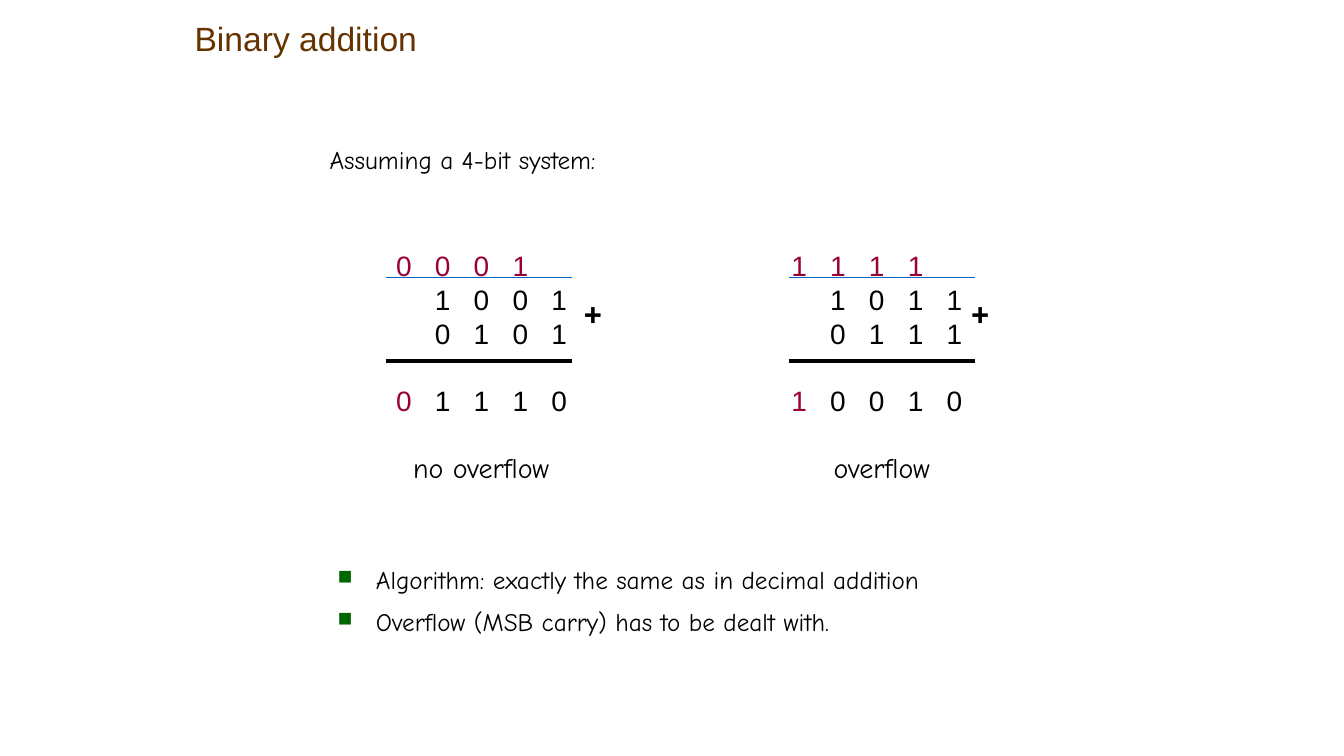
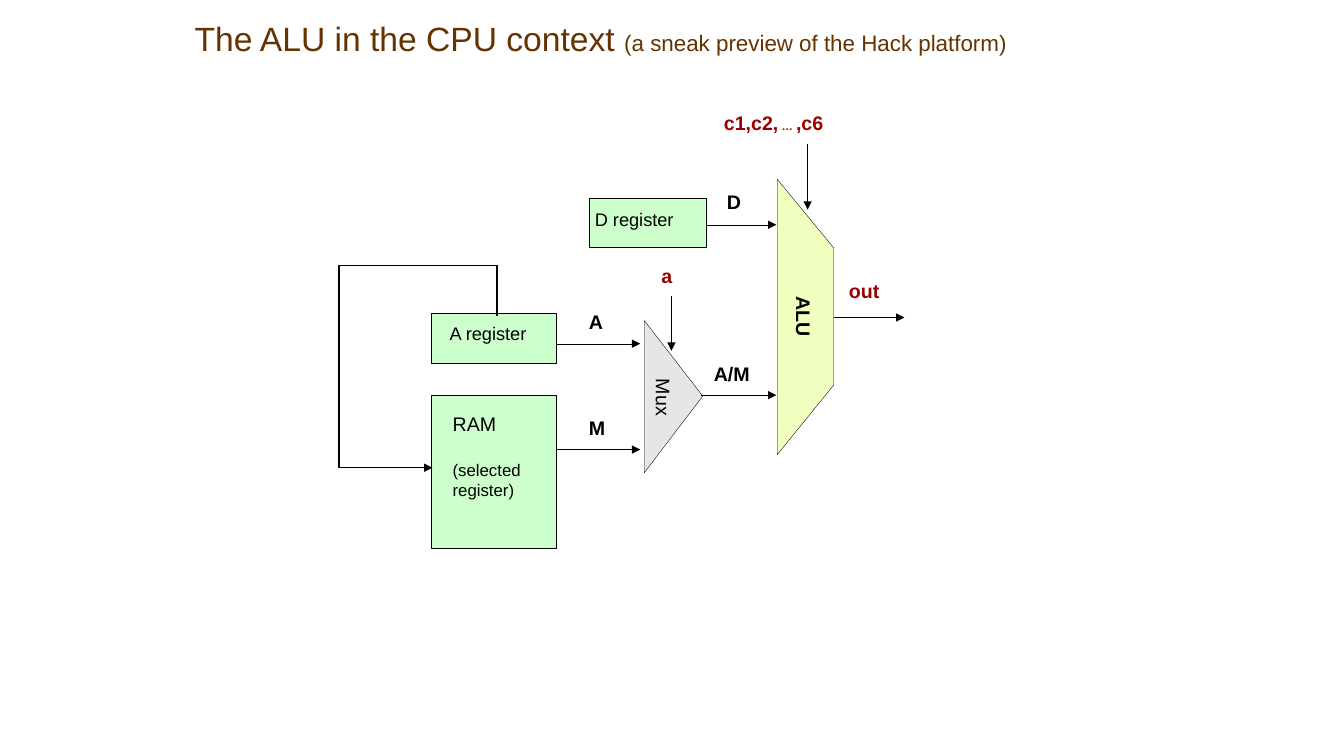
"""Build two slides: binary addition, and the ALU in its CPU context."""
from lxml import etree
from pptx import Presentation
from pptx.dml.color import RGBColor
from pptx.enum import shapes, text
from pptx.oxml import ns
from pptx.util import Inches, Pt

BLACK = RGBColor(0x00, 0x00, 0x00)
BROWN = RGBColor(0x66, 0x33, 0x00)
CRIMSON = RGBColor(0x99, 0x00, 0x33)
RED = RGBColor(0x99, 0x00, 0x00)
BLUE = RGBColor(0x05, 0x63, 0xC1)
BULLET = RGBColor(0x00, 0x66, 0x00)
GREEN = RGBColor(0xCC, 0xFF, 0xCC)
LIME = RGBColor(0xEE, 0xFF, 0xBF)
GREY = RGBColor(0xE6, 0xE6, 0xE6)
HAND = "Comic Neue"
HAIRLINE = 0.25


def add_text(s, x, y, w, h, lines, size, color=BLACK, font="Arial", bold=False):
    """Add a wrapping text box with one paragraph per line."""
    box = s.shapes.add_textbox(Inches(x), Inches(y), Inches(w), Inches(h))
    tf = box.text_frame
    tf.word_wrap = True
    tf.text = "\n".join(lines)
    for p in tf.paragraphs:
        p.font.size, p.font.bold, p.font.name = Pt(size), bold, font
        p.font.color.rgb = color
    return box


def add_line(s, x1, y1, x2, y2, width, color=BLACK, arrow=False, kind=shapes.MSO_CONNECTOR.STRAIGHT):
    """Add a connector, with an arrowhead at its end if asked."""
    line = s.shapes.add_connector(kind, Inches(x1), Inches(y1), Inches(x2), Inches(y2))
    line.line.color.rgb = color
    line.line.width = Pt(width)
    if arrow:
        etree.SubElement(line.line._get_or_add_ln(), ns.qn("a:tailEnd"), type="triangle")
    etree.SubElement(line._element.spPr, ns.qn("a:effectLst"))
    return line


prs = Presentation()
prs.slide_width, prs.slide_height = Inches(13.33), Inches(7.5)

titles = [
    [("Binary addition", 24)],
    [("The ALU in the CPU context ", 24), ("(a sneak preview of the Hack platform)", 16)],
]
for runs in titles:
    s = prs.slides.add_slide(prs.slide_layouts[5])
    title = s.shapes.title
    title.left, title.top = Inches(1.83), Inches(0.09)
    title.width, title.height = Inches(9.58), Inches(0.58)
    tf = title.text_frame
    tf.vertical_anchor = text.MSO_ANCHOR.MIDDLE
    tf.auto_size = text.MSO_AUTO_SIZE.NONE
    p = tf.paragraphs[0]
    p.alignment = text.PP_ALIGN.LEFT
    p.font.name = "Arial"
    p.font.color.rgb = BROWN
    for words, size in runs:
        r = p.add_run()
        r.text = words
        r.font.size = Pt(size)
addition, alu = prs.slides

s = addition
box = add_text(s, 3.17, 1.42, 7.58, 0.5, ["Assuming a 4-bit system:"], 18, font=HAND)
box.text_frame.paragraphs[0].line_spacing = 0.9

sums = [
    (3.83, 3.83, 5.58, 4, "no overflow", ["0001", " 1001", " 0101"], "01110"),
    (7.83, 7.75, 9.42, 8.17, "overflow", ["1111", " 1011", " 0111"], "10010"),
]
for rule_x, digits_x, plus_x, caption_x, caption, rows, total in sums:
    add_line(s, rule_x, 3.58, rule_x + 1.84, 3.58, 3)
    lines = ["\t".join(row).replace(" ", "") for row in rows]
    box = add_text(s, digits_x, 2.42, 2.08, 1.77, lines + [""], 20)
    for p in box.text_frame.paragraphs:
        tabs = etree.Element(ns.qn("a:tabLst"))
        for i in range(1, 5):
            etree.SubElement(tabs, ns.qn("a:tab"), pos=str(Inches(1.54) * i // 4), algn="l")
        p._p.get_or_add_pPr().insert(0, tabs)
    carry, result = box.text_frame.paragraphs[0], box.text_frame.paragraphs[-1]
    carry.font.color.rgb = CRIMSON
    result.space_before = Pt(24)
    r = result.add_run()
    r.text = total[0]
    r.font.color.rgb = CRIMSON
    r = result.add_run()
    r.text = "\t" + "\t".join(total[1:])
    add_line(s, rule_x, 2.75, rule_x + 1.84, 2.75, 1, BLUE)
    plus = add_text(s, plus_x, 2.87, 0.5, 0.47, ["+"], 24, font="Noto Sans Mono", bold=True)
    plus.text_frame.paragraphs[0].alignment = text.PP_ALIGN.RIGHT
    add_text(s, caption_x, 4.42, 1.92, 0.5, [caption], 20, font=HAND)

notes = ["Algorithm: exactly the same as in decimal addition", "Overflow (MSB carry) has to be dealt with."]
box = add_text(s, 3.25, 5.58, 7.58, 1, notes, 18, font=HAND)
for i, p in enumerate(box.text_frame.paragraphs):
    pPr = p._p.get_or_add_pPr()
    pPr.set("marL", str(Inches(0.38)))
    pPr.set("indent", str(-Inches(0.38)))
    pPr.insert(0, etree.Element(ns.qn("a:buChar"), char="■"))
    pPr.insert(0, etree.Element(ns.qn("a:buSzPct"), val="80000"))
    bullet_color = etree.Element(ns.qn("a:buClr"))
    etree.SubElement(bullet_color, ns.qn("a:srgbClr"), val=str(BULLET))
    pPr.insert(0, bullet_color)
    p.line_spacing = 0.9
    if i:
        p.space_before = Pt(11)

s = alu
outlines = [
    (LIME, [(8.27, 3.82), (8.27, 2.46), (7.71, 1.78), (7.71, 4.51)]),
    (GREY, [(6.39, 4.69), (6.97, 3.93), (6.39, 3.18)]),
]
for fill, points in outlines:
    corners = [(Inches(x), Inches(y)) for x, y in points]
    builder = s.shapes.build_freeform(*corners[0])
    builder.add_line_segments(corners[1:], close=True)
    sp = builder.convert_to_shape()
    sp.shadow.inherit = False
    sp.fill.solid()
    sp.fill.fore_color.rgb = fill
    sp.line.color.rgb = BLACK
    sp.line.width = Pt(HAIRLINE)

blocks = [
    (5.84, 1.97, 1.16, 0.48, 0.06, 0.1, [("D register", 13)]),
    (4.28, 3.11, 1.24, 0.49, 0.18, 0.09, [("A register", 13)]),
    (4.28, 3.92, 1.24, 1.52, 0.21, 0.17, [("RAM", 14), ("(selected register)", 12)]),
]
for x, y, w, h, inset_x, inset_y, lines in blocks:
    sp = s.shapes.add_shape(shapes.MSO_SHAPE.RECTANGLE, Inches(x), Inches(y), Inches(w), Inches(h))
    sp.shadow.inherit = False
    sp.fill.solid()
    sp.fill.fore_color.rgb = GREEN
    sp.line.color.rgb = BLACK
    sp.line.width = Pt(HAIRLINE)
    tf = sp.text_frame
    tf.word_wrap = True
    tf.vertical_anchor = text.MSO_ANCHOR.TOP
    tf.margin_left, tf.margin_top = Inches(inset_x), Inches(inset_y)
    tf.margin_right = tf.margin_bottom = 0
    tf.text = "\n".join(words for words, size in lines)
    for i, (p, (words, size)) in enumerate(zip(tf.paragraphs, lines)):
        p.alignment = text.PP_ALIGN.LEFT
        p.font.name, p.font.size = "Arial", Pt(size)
        p.font.color.rgb = BLACK
        if i:
            p.space_before = Pt(17)

arrows = [
    (5.52, 3.41, 6.35, 3.41),
    (5.52, 4.46, 6.35, 4.46),
    (7, 2.23, 7.7, 2.23),
    (6.95, 3.92, 7.7, 3.92),
    (8.27, 3.15, 8.97, 3.15),
    (8.01, 1.43, 8.01, 2.08),
    (6.66, 2.94, 6.66, 3.48),
]
for ends in arrows:
    add_line(s, *ends, HAIRLINE, arrow=True)

address = add_line(s, 5.36, 4.21, 3.86, 3.57, 1, arrow=True, kind=shapes.MSO_CONNECTOR.ELBOW)
spPr = address._element.spPr
spPr.find(ns.qn("a:xfrm")).set("rot", str(270 * 60000))
geometry = spPr.find(ns.qn("a:prstGeom"))
geometry.set("prst", "bentConnector4")
for name, value in (("adj1", -33600), ("adj2", 245000)):
    etree.SubElement(geometry.find(ns.qn("a:avLst")), ns.qn("a:gd"), name=name, fmla=f"val {value}")

labels = [
    (7.72, 3.07, 0.5, ["ALU"], BLACK, True, 90),
    (6.33, 3.89, 0.5, ["Mux"], BLACK, False, 90),
    (7.21, 1.88, 0.25, ["D"], BLACK, True, 0),
    (5.84, 3.07, 0.25, ["A"], BLACK, True, 0),
    (5.84, 4.13, 0.25, ["M"], BLACK, True, 0),
    (7.08, 3.59, 0.5, ["A/M"], BLACK, True, 0),
    (8.42, 2.77, 0.5, ["out"], RED, True, 0),
    (6.56, 2.62, 0.25, ["a"], RED, True, 0),
    (7.18, 1.1, 1.2, ["c1,c2,", " … ", ",c6"], RED, True, 0),
]
for x, y, w, parts, color, bold, angle in labels:
    box = add_text(s, x, y, w, 0.24, [""], 14, color, bold=bold)
    box.rotation = angle
    tf = box.text_frame
    tf.margin_left = tf.margin_right = tf.margin_top = tf.margin_bottom = 0
    for part in parts:
        r = tf.paragraphs[0].add_run()
        r.text = part
        if "…" in part:
            r.font.size = Pt(8)

prs.save("out.pptx")
